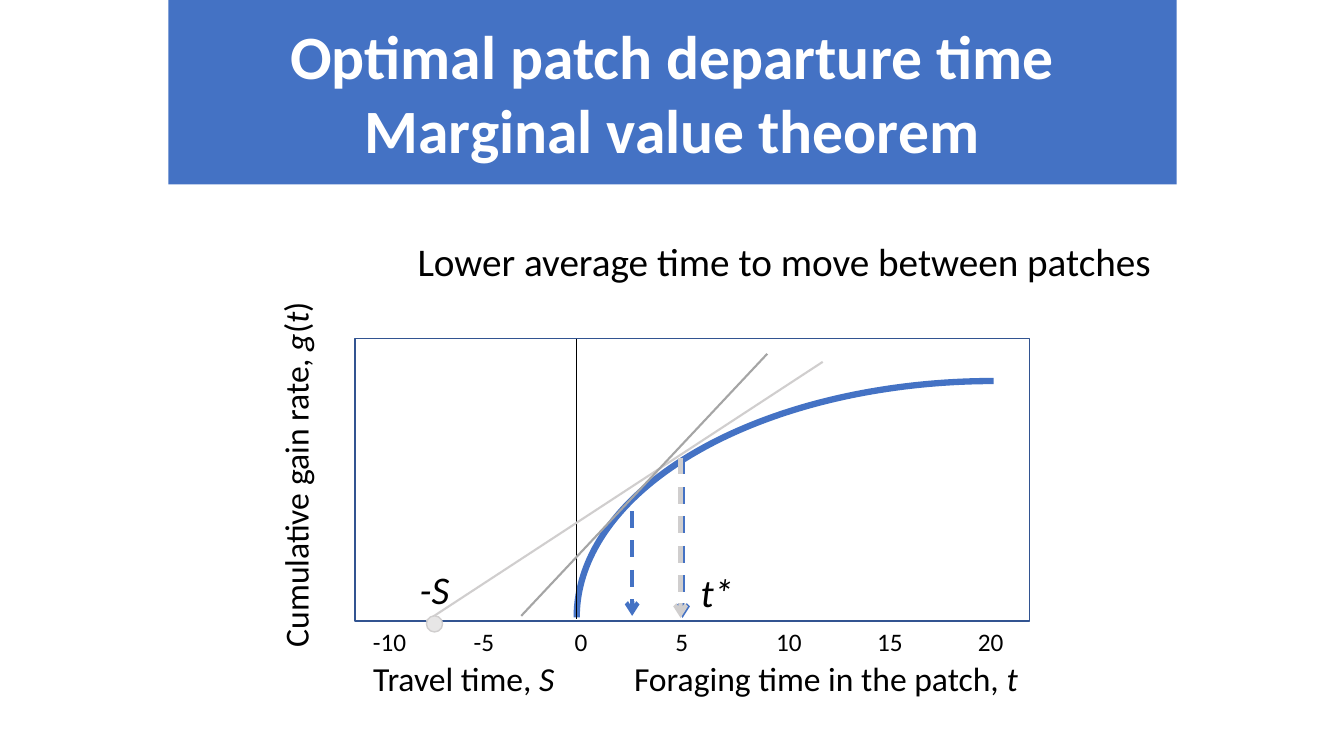
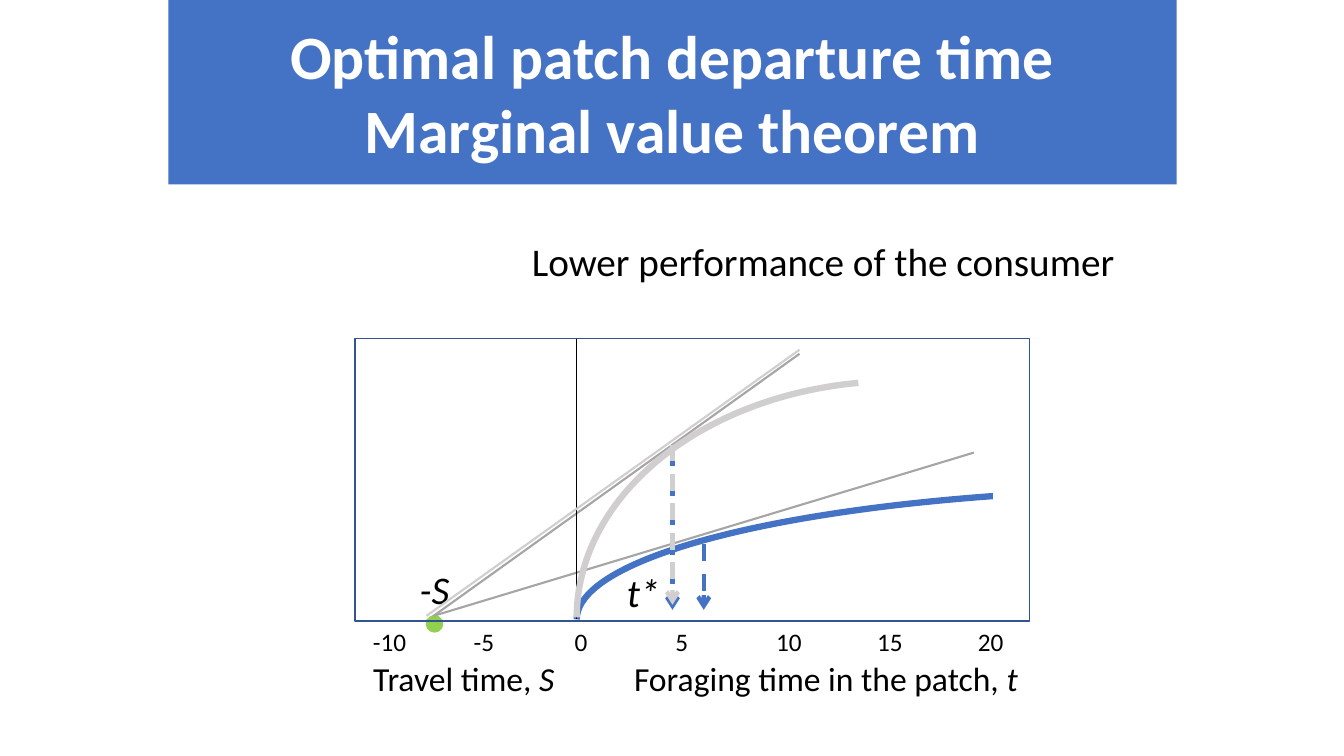
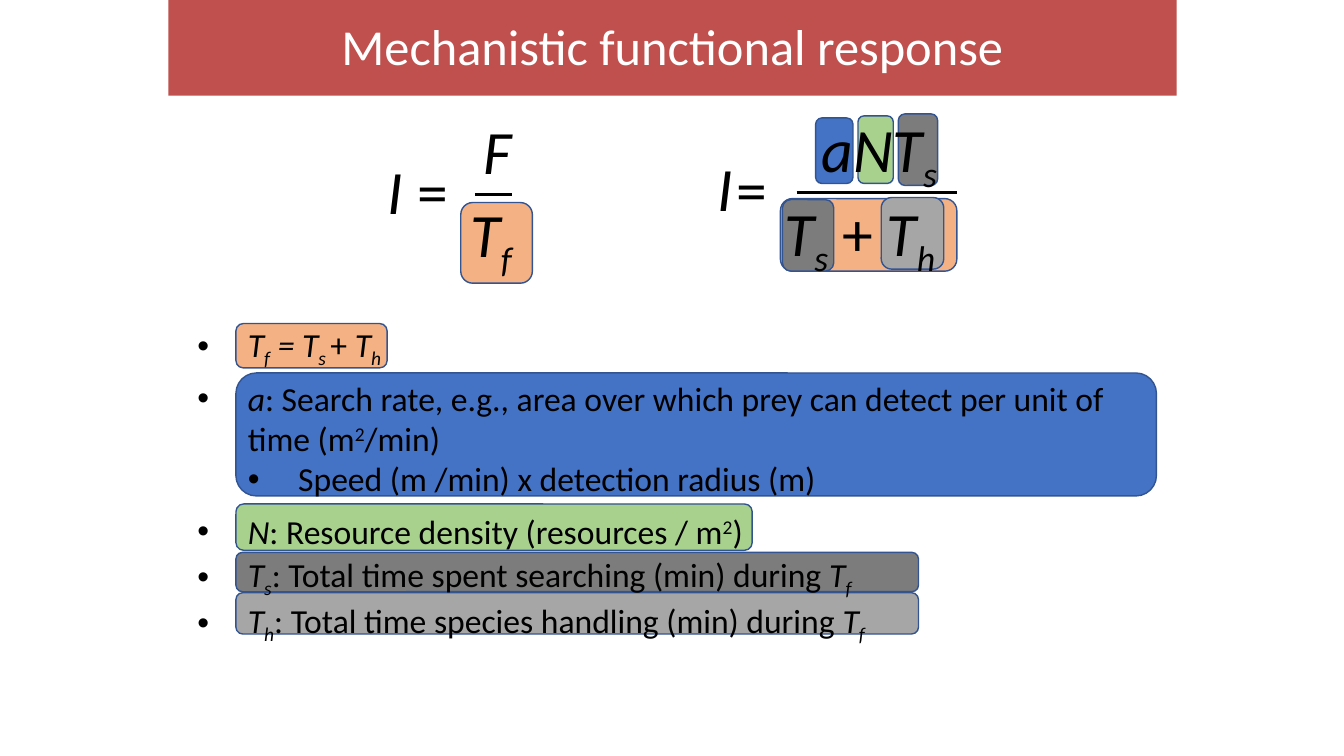
from lxml.etree import SubElement as Sub
from pptx import Presentation
from pptx.dml.color import RGBColor
from pptx.enum.dml import MSO_LINE_DASH_STYLE as Dash
from pptx.enum.shapes import MSO_CONNECTOR as Link, MSO_SHAPE as Form
from pptx.enum.text import MSO_ANCHOR as Anchor, PP_ALIGN as Align
from pptx.oxml.ns import qn
from pptx.util import Inches, Pt

FONT = "Calibri"
BLACK, WHITE, BLUE, NAVY, RED = "000000", "FFFFFF", "4472C4", "325491", "C0504D"
GRAY, PALE, MIST, LIME = "A5A5A5", "D0CECE", "E7E6E6", "92D050"
PEACH, GREEN, DARK, LIGHT = "F4B183", "A9D18E", "7C7C7C", "A6A6A6"
BASE = {"_": "-25000", "^": "30000"}
TICKS = ["-10", "-5", "0", "5", "10", "15", "20"]
THEOREM = ["Optimal patch departure time", "Marginal value theorem"]


def color(code):
    """Turn a hex string into a colour."""
    return RGBColor.from_string(code)


def shift(org, part):
    """Move a part by the origin of its region and return lengths."""
    x, y, w, h = part
    return [Inches(n) for n in (org[0] + x, org[1] + y, w, h)]


def shape(slide, form, org, part, fill=None, line=None, width=1):
    """Draw a preset shape with an optional fill and line."""
    item = slide.shapes.add_shape(form, *shift(org, part))
    item.shadow.inherit = False
    if fill:
        item.fill.solid()
        item.fill.fore_color.rgb = color(fill)
    else:
        item.fill.background()
    if line:
        item.line.color.rgb = color(line)
        item.line.width = Pt(width)
    else:
        item.line.fill.background()
    return item


def arc(slide, org, part, line, start=162):
    """Draw a gain curve that rises from left to right."""
    item = shape(slide, Form.ARC, org, part, None, line, 4.5)
    item.adjustments[0] = start
    item.adjustments[1] = 0
    item._element.spPr.find(qn("a:xfrm")).set("flipH", "1")


def stroke(slide, org, part, line, width=1.5, arrow=False):
    """Draw a line from a point over a run and a rise."""
    x, y, w, h = shift(org, part)
    item = slide.shapes.add_connector(Link.STRAIGHT, x, y, x + w, y + h)
    item.line.color.rgb = color(line)
    item.line.width = Pt(width)
    if arrow:
        item.line.dash_style = Dash.DASH
        Sub(item.line._ln, qn("a:tailEnd"), type="arrow")
    Sub(item._element.spPr, qn("a:effectLst"))


def drop(slide, org, x, y, h, line):
    """Draw a dashed arrow straight down."""
    stroke(slide, org, (x, y, 0, h), line, 3, True)


def write(para, bits, size, code=BLACK, bold=False):
    """Fill a paragraph with runs, each a text and its marks."""
    for text, marks in bits:
        run = para.add_run()
        run.text = text
        font = run.font
        font.name, font.size, font.bold = FONT, Pt(size), bold
        font.italic = "i" in marks
        font.color.rgb = color(code)
        for mark in BASE.keys() & set(marks):
            run._r.get_or_add_rPr().set("baseline", BASE[mark])


def label(slide, org, part, bits, size, align=Align.LEFT, wrap=True):
    """Place a one-paragraph text box."""
    item = slide.shapes.add_textbox(*shift(org, part))
    item.text_frame.word_wrap = wrap
    para = item.text_frame.paragraphs[0]
    para.alignment = align
    write(para, bits, size)
    return item


def band(slide, high, fill, lines, size, bold=False, foot=0.05):
    """Draw the title band across the top."""
    item = shape(slide, Form.RECTANGLE, (1.67, 0), (0, 0, 10, high), fill)
    frame = item.text_frame
    frame.word_wrap = True
    frame.vertical_anchor = Anchor.MIDDLE
    frame.margin_bottom = Inches(foot)
    for i, line in enumerate(lines):
        para = frame.add_paragraph() if i else frame.paragraphs[0]
        para.alignment = Align.CENTER
        write(para, [(line, "")], size, WHITE, bold)


def scale(slide, org):
    """Write the tick values, one tab stop an inch."""
    item = label(slide, org, (0.08, 2.8, 6.52, 0.4),
                 [("\t".join(TICKS), "")], 18)
    props = item.text_frame.paragraphs[0]._p.get_or_add_pPr()
    tabs = Sub(props, qn("a:tabLst"))
    for i in range(1, len(TICKS)):
        Sub(tabs, qn("a:tab"), pos=str(Inches(i)), algn="l")


def axes(slide, org, star):
    """Draw the plot frame, its scale and its labels."""
    shape(slide, Form.RECTANGLE, org, (0, 0, 6.69, 2.8), None, NAVY)
    stroke(slide, org, (2.2, 0, 0, 2.78), BLACK, 1)
    scale(slide, org)
    label(slide, org, (2.67, 3.12, 4.04, 0.5),
          [("Foraging time in the patch, ", ""), ("t", "i")], 24, wrap=False)
    label(slide, org, (0.07, 3.12, 2.02, 0.5),
          [("Travel time, ", ""), ("S", "i")], 24, Align.CENTER, False)
    for x, y, text in ((0.53, 2.2, "-S"), (star, 2.23, "t*")):
        label(slide, org, (x, y, 0.52, 0.57), [(text, "i")], 28,
              Align.CENTER, False)


def travel(slide, org):
    """Plot how a shorter trip changes the departure time."""
    arc(slide, org, (2.2, 0.42, 8.27, 4.69), BLUE)
    axes(slide, org, 3.33)
    label(slide, org, (0.19, -1.05, 7.8, 0.57),
          [("Lower average time to move between patches", "")], 28, Align.RIGHT)
    drop(slide, org, 3.25, 1.18, 1.59, BLUE)
    drop(slide, org, 2.75, 1.71, 1.04, BLUE)
    drop(slide, org, 3.23, 1.18, 1.59, PALE)
    stroke(slide, org, (0.71, 2.8, 3.93, -2.57), PALE)
    shape(slide, Form.OVAL, org, (0.71, 2.75, 0.16, 0.16), MIST, PALE)
    stroke(slide, org, (1.65, 2.75, 2.44, -2.6), GRAY)
    side = label(slide, org, (-2.42, 1.08, 3.66, 0.5),
                 [("Cumulative gain rate, ", ""), ("g", "i"), ("(", ""),
                  ("t", "i"), (")", "")], 24, wrap=False)
    side.rotation = 270


def yields(slide, org):
    """Plot how a weaker consumer changes the departure time."""
    label(slide, org, (-0.24, -1.05, 7.87, 0.57),
          [("Lower performance of the consumer", "")], 28, Align.RIGHT)
    stroke(slide, org, (0.71, 2.8, 3.7, -2.65), GRAY)
    drop(slide, org, 3.15, 1.1, 1.59, BLUE)
    shape(slide, Form.OVAL, org, (0.71, 2.75, 0.16, 0.16), LIME, LIME)
    arc(slide, org, (2.2, 1.49, 12.28, 2.59), BLUE, 160.15)
    stroke(slide, org, (0.78, 2.75, 5.36, -1.62), GRAY)
    drop(slide, org, 3.46, 2.04, 0.65, BLUE)
    shape(slide, Form.RECTANGLE, org, (6.34, 1.13, 2.24, 0.91), WHITE, WHITE)
    axes(slide, org, 2.6)
    arc(slide, org, (2.2, 0.42, 6.38, 4.69), PALE, 167.81)
    stroke(slide, org, (0.71, 2.75, 3.7, -2.64), PALE)
    drop(slide, org, 3.15, 1.05, 1.59, PALE)


def tiles(slide, org, items):
    """Draw the rounded boxes that colour the terms."""
    for fill, part in items:
        shape(slide, Form.ROUNDED_RECTANGLE, org, part, fill, NAVY)


def terms(slide, org, items):
    """Write the large parts of a formula."""
    for part, bits in items:
        label(slide, org, part, bits, 44)


def intake(slide, org):
    """Write intake as food over foraging time."""
    tiles(slide, org, [(PEACH, (0.82, 1.01, 0.71, 0.8))])
    terms(slide, org, [
        ((0, 0.47, 1.04, 0.84), [("I ", "i"), ("=", "")]),
        ((0.95, 0.07, 0.7, 0.84), [("F", "i")]),
        ((0.82, 0.89, 1.39, 0.84), [("T", "i"), ("f", "i_")])])
    stroke(slide, org, (0.96, 0.93, 0.37, 0), BLACK)


def detail(slide, org):
    """Write intake as search over search and handling time."""
    tiles(slide, org, [
        (PEACH, (0.74, 0.97, 1.75, 0.72)), (GREEN, (1.51, 0.15, 0.35, 0.67)),
        (BLUE, (1.09, 0.17, 0.37, 0.65)), (DARK, (1.91, 0.13, 0.39, 0.71)),
        (DARK, (0.76, 0.98, 0.51, 0.71)), (LIGHT, (1.74, 0.96, 0.62, 0.71))])
    terms(slide, org, [
        ((0.02, 0.44, 0.62, 0.84), [("I", "i")]),
        ((0.21, 0.45, 0.51, 0.84), [("=", "")]),
        ((1.05, 0.05, 1.6, 0.83), [("aNT", "i"), ("s", "i_")]),
        ((0.68, 0.88, 2.04, 0.84), [("T", "i"), ("s", "i_"), (" + ", ""),
                                    ("T", "i"), ("h", "i_")])])
    stroke(slide, org, (0.9, 0.91, 1.59, 0), BLACK)


def legend(slide, org):
    """List what each term means on its colour."""
    tiles(slide, org, [
        (fill, (0.48, y, w, h)) for fill, y, w, h in (
            (BLUE, 0.7, 9.13, 1.22), (PEACH, 0.21, 1.5, 0.44),
            (GREEN, 2, 5.12, 0.46), (DARK, 2.48, 6.77, 0.39),
            (LIGHT, 2.88, 6.77, 0.41))])
    rows = [
        (0, 0, 0, [("T", "i"), ("f", "i_"), (" = T", "i"), ("s ", "i_"),
                   ("+ ", ""), ("T", "i"), ("h", "i_")]),
        (0, 6, 0, [("a", "i"), (": Search rate, e.g., area over which prey can "
                                "detect per unit of time (m", ""),
                   ("2", "^"), ("/min)", "")]),
        (1, 0, 0, [("Speed (m /min) x detection radius (m)", "")]),
        (0, 8.5, 2, [("N", "i"), (": Resource density (resources / m", ""),
                     ("2", "^"), (")", "")]),
        (0, 0, 0, [("T", "i"), ("s", "i_"),
                   (": Total time spent searching (min) during ", ""),
                   ("T", "i"), ("f", "i_")]),
        (0, 0, 2, [("T", "i"), ("h", "i_"),
                   (": Total time species handling (min) during ", ""),
                   ("T", "i"), ("f", "i_")])]
    item = slide.shapes.add_textbox(*shift(org, (0, 0.16, 9.76, 3.13)))
    frame = item.text_frame
    frame.word_wrap = True
    for i, (level, before, after, bits) in enumerate(rows):
        para = frame.add_paragraph() if i else frame.paragraphs[0]
        para.level = level
        if before:
            para.space_before = Pt(before)
        if after:
            para.space_after = Pt(after)
        props = para._p.get_or_add_pPr()
        props.set("marL", str(Inches(0.5 + level / 2)))
        props.set("indent", str(Inches(-0.5)))
        Sub(props, qn("a:buFont"), typeface="Arial")
        Sub(props, qn("a:buChar"), char="•")
        write(para, bits, 24)


def main():
    """Build the three slides and save them."""
    deck = Presentation()
    deck.slide_width, deck.slide_height = Inches(13.33), Inches(7.5)
    blank = deck.slide_layouts[6]
    for plot in (travel, yields):
        slide = deck.slides.add_slide(blank)
        plot(slide, (3.52, 3.36))
        band(slide, 1.83, BLUE, THEOREM, 44, True)
    slide = deck.slides.add_slide(blank)
    band(slide, 0.95, RED, ["Mechanistic functional response"], 36, foot=0.11)
    intake(slide, (3.75, 1))
    detail(slide, (7, 1))
    legend(slide, (1.86, 3))
    deck.save("out.pptx")


if __name__ == "__main__":
    main()
